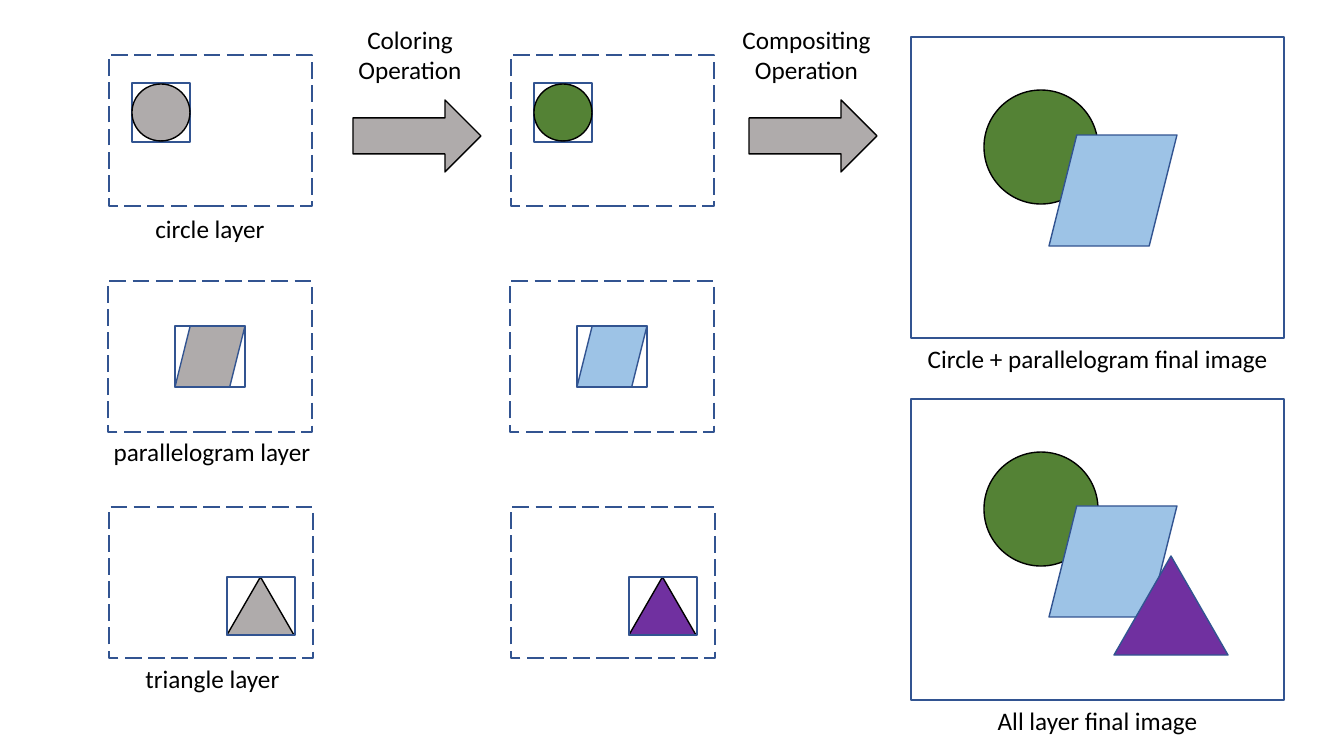
from pptx import Presentation
from pptx import util as u
from pptx.dml.color import RGBColor
from pptx.enum import dml, shapes, text

PIXEL = 914400 / 100.8
FONT, FONT_SIZE = "Calibri", 18
BLUE, BLACK, GRAY = "325491", "000000", "AFABAB"
GREEN, SKY, PURPLE = "548235", "9DC3E6", "7030A0"

RECTANGLE = shapes.MSO_SHAPE.RECTANGLE
CIRCLE = shapes.MSO_SHAPE.OVAL
PARALLELOGRAM = shapes.MSO_SHAPE.PARALLELOGRAM
TRIANGLE = shapes.MSO_SHAPE.ISOSCELES_TRIANGLE
ARROW = shapes.MSO_SHAPE.RIGHT_ARROW

# All places are (left, top, width, height) in pixels.
COLORED_OFFSET = 402
LAYERS = [
    dict(frame=(109, 55, 203, 151), box=(132, 83, 58, 59), figure=(132, 84, 58, 57),
         kind=CIRCLE, color=GREEN, line=BLACK, box_behind=True,
         label="circle layer", label_place=(108, 208, 204, 40)),
    dict(frame=(108, 281, 204, 151), box=(175, 326, 70, 61), figure=(175, 326, 70, 61),
         kind=PARALLELOGRAM, color=SKY, line=BLUE, box_behind=False,
         label="parallelogram layer", label_place=(81, 431, 262, 40)),
    dict(frame=(109, 507, 204, 151), box=(227, 577, 68, 58), figure=(227, 577, 67, 58),
         kind=TRIANGLE, color=PURPLE, line=BLACK, box_behind=False,
         label="triangle layer", label_place=(108, 658, 209, 40)),
]

OPERATIONS = [
    ("Coloring Operation", (346, 19, 128, 72), 353),
    ("Compositing Operation", (725, 19, 163, 72), 749),
]
ARROW_TOP, ARROW_WIDTH, ARROW_HEIGHT = 100, 128, 72

FINAL_LEFT, FINAL_WIDTH, FINAL_HEIGHT = 911, 373, 301
FINALS = [
    ("Circle + parallelogram final image", 37, [
        (CIRCLE, (984, 90, 114, 114), GREEN, BLACK),
        (PARALLELOGRAM, (1049, 135, 128, 111), SKY, BLUE)]),
    ("All layer final image", 399, [
        (CIRCLE, (984, 452, 114, 114), GREEN, BLACK),
        (PARALLELOGRAM, (1049, 506, 128, 111), SKY, BLUE),
        (TRIANGLE, (1114, 556, 114, 99), PURPLE, BLUE)]),
]


def rgb(value):
    """Turn a hex string into a colour."""
    return RGBColor.from_string(value)


def emu(*pixels):
    """Turn pixel lengths into EMU."""
    return [u.Emu(round(pixel * PIXEL)) for pixel in pixels]


def shifted(place, offset):
    """Move a place to the right."""
    left, *rest = place
    return (left + offset, *rest)


def add_shape(kind, place, fill=None, line=BLUE, width=1, dash=None):
    """Draw a preset shape, hollow unless a fill is given."""
    shape = slide.shapes.add_shape(kind, *emu(*place))
    shape.shadow.inherit = False
    if fill:
        shape.fill.solid()
        shape.fill.fore_color.rgb = rgb(fill)
    else:
        shape.fill.background()
    shape.line.color.rgb = rgb(line)
    shape.line.width = u.Pt(width)
    if dash:
        shape.line.dash_style = dash


def add_text(words, place, size=FONT_SIZE, color=BLACK, align=text.PP_ALIGN.CENTER):
    """Write a wrapped paragraph in a text box."""
    frame = slide.shapes.add_textbox(*emu(*place)).text_frame
    frame.word_wrap = True
    frame.auto_size = text.MSO_AUTO_SIZE.SHAPE_TO_FIT_TEXT
    paragraph = frame.paragraphs[0]
    paragraph.alignment = align
    run = paragraph.add_run()
    run.text = words
    run.font.name = FONT
    run.font.size = u.Pt(size)
    run.font.color.rgb = rgb(color)


def add_layer(layer, color, offset):
    """Draw a dashed layer with its figure and bounding box."""
    add_shape(RECTANGLE, shifted(layer["frame"], offset), width=1.5,
              dash=dml.MSO_LINE.LONG_DASH)
    box = shifted(layer["box"], offset)
    if layer["box_behind"]:
        add_shape(RECTANGLE, box)
    add_shape(layer["kind"], shifted(layer["figure"], offset), color, layer["line"])
    if not layer["box_behind"]:
        add_shape(RECTANGLE, box)


presentation = Presentation()
presentation.slide_width, presentation.slide_height = emu(1344, 756)
slide = presentation.slides.add_slide(presentation.slide_layouts[6])

for layer in LAYERS:
    add_layer(layer, GRAY, 0)
    add_layer(layer, layer["color"], COLORED_OFFSET)
    add_text(layer["label"], layer["label_place"])

for caption, place, arrow_left in OPERATIONS:
    add_text(caption, place)
    add_shape(ARROW, (arrow_left, ARROW_TOP, ARROW_WIDTH, ARROW_HEIGHT), GRAY, BLACK)

for caption, top, figures in FINALS:
    add_shape(RECTANGLE, (FINAL_LEFT, top, FINAL_WIDTH, FINAL_HEIGHT), width=2)
    for kind, place, fill, line in figures:
        add_shape(kind, place, fill, line)
    add_text(caption, (FINAL_LEFT, top + FINAL_HEIGHT, FINAL_WIDTH, 40))

presentation.save("out.pptx")
